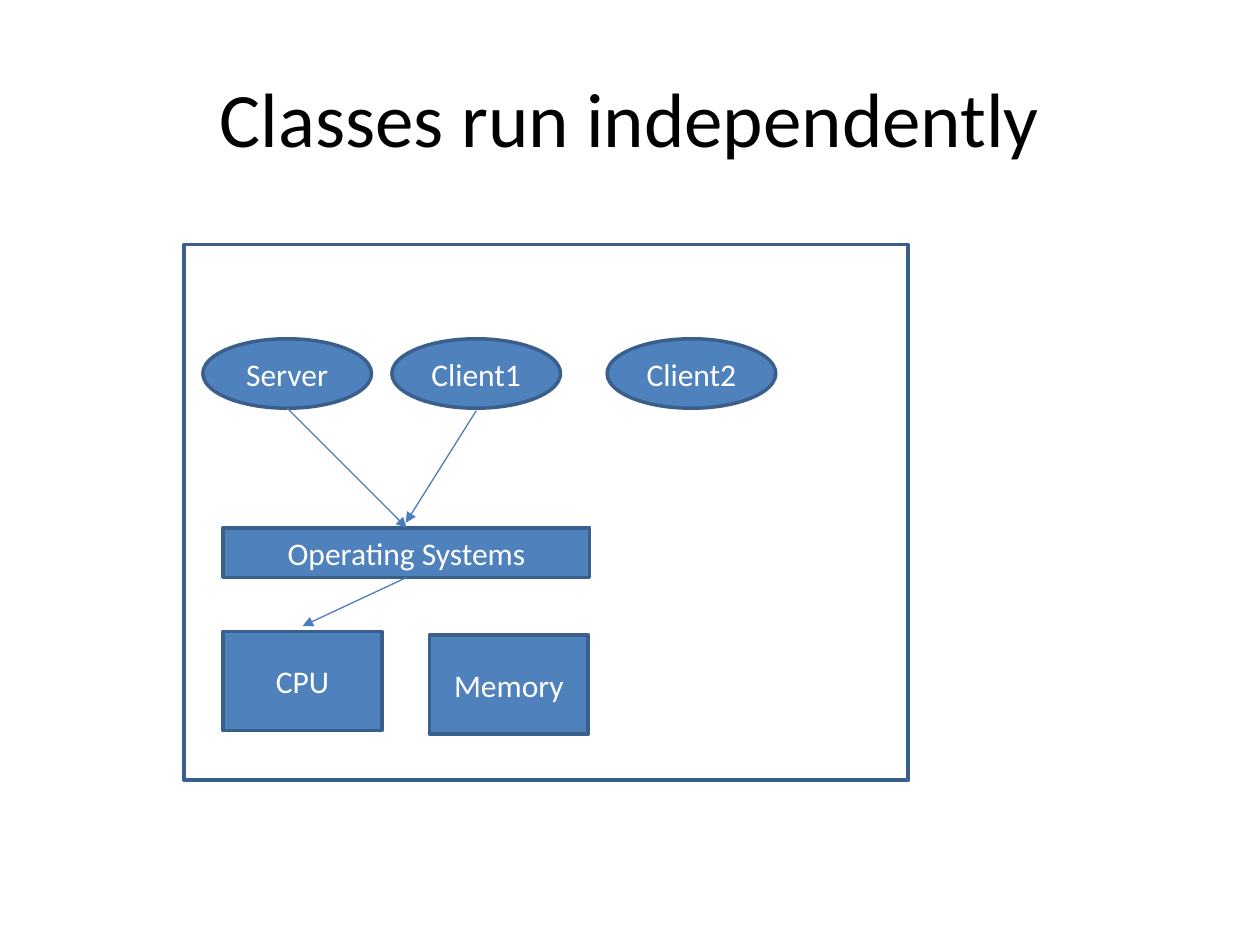
"""Build a slide showing classes that run independently on one operating system."""
from lxml import etree
from pptx import Presentation
from pptx.dml.color import RGBColor
from pptx.enum.shapes import MSO_CONNECTOR, MSO_SHAPE
from pptx.enum.text import MSO_ANCHOR, PP_ALIGN
from pptx.oxml.ns import qn
from pptx.util import Cm, Pt

RECTANGLE, OVAL = MSO_SHAPE.RECTANGLE, MSO_SHAPE.OVAL
STRAIGHT = MSO_CONNECTOR.STRAIGHT
MIDDLE, CENTER = MSO_ANCHOR.MIDDLE, PP_ALIGN.CENTER

THEME = {
    "font": "Calibri",
    "title_size": Pt(44),
    "label_size": Pt(18),
    "border_width": Pt(2),
    "arrow_width": Pt(0.75),
    "title": RGBColor.from_string("000000"),
    "white": RGBColor.from_string("FFFFFF"),
    "fill": RGBColor.from_string("4F81BD"),
    "border": RGBColor.from_string("3A5F8C"),
    "arrow": RGBColor.from_string("4B7EBC"),
}


def write(frame, text, size, color):
    frame.word_wrap = True
    frame.vertical_anchor = MIDDLE
    frame.text = text
    paragraph = frame.paragraphs[0]
    paragraph.alignment = CENTER
    font = paragraph.runs[0].font
    font.name, font.size, font.color.rgb = THEME["font"], size, color


def add_block(kind, left, top, width, height, fill):
    block = slide.shapes.add_shape(kind, Cm(left), Cm(top), Cm(width), Cm(height))
    block.shadow.inherit = False
    block.fill.solid()
    block.fill.fore_color.rgb = fill
    block.line.color.rgb = THEME["border"]
    block.line.width = THEME["border_width"]
    return block


deck = Presentation()
deck.slide_width, deck.slide_height = Cm(25.4), Cm(19.05)
slide = deck.slides.add_slide(deck.slide_layouts[6])

title = slide.shapes.add_textbox(Cm(1.27), Cm(0.76), Cm(22.86), Cm(3.18))
write(title.text_frame, "Classes run independently", THEME["title_size"], THEME["title"])

add_block(RECTANGLE, 3.71, 4.93, 14.6, 10.8, THEME["white"])

hardware_size = (3.2, 2)
process_size = (3.4, 1.4)
process_top = 6.83
components = [
    ("CPU", RECTANGLE, 4.5, 12.73, *hardware_size),
    ("Memory", RECTANGLE, 8.66, 12.8, *hardware_size),
    ("Operating Systems", RECTANGLE, 4.5, 10.64, 7.39, 1),
    ("Server", OVAL, 4.09, process_top, *process_size),
    ("Client1", OVAL, 7.9, process_top, *process_size),
    ("Client2", OVAL, 12.24, process_top, *process_size),
]
for label, kind, left, top, width, height in components:
    component = add_block(kind, left, top, width, height, THEME["fill"])
    write(component.text_frame, label, THEME["label_size"], THEME["white"])

calls = [
    (5.79, 8.23, 8.2, 10.64),
    (8.2, 11.64, 6.1, 12.62),
    (9.6, 8.28, 8.18, 10.54),
]
for call in calls:
    arrow = slide.shapes.add_connector(STRAIGHT, *map(Cm, call))
    arrow.line.color.rgb = THEME["arrow"]
    arrow.line.width = THEME["arrow_width"]
    etree.SubElement(arrow.line._get_or_add_ln(), qn("a:tailEnd"), type="triangle")
    etree.SubElement(arrow._element.spPr, qn("a:effectLst"))

deck.save("out.pptx")
